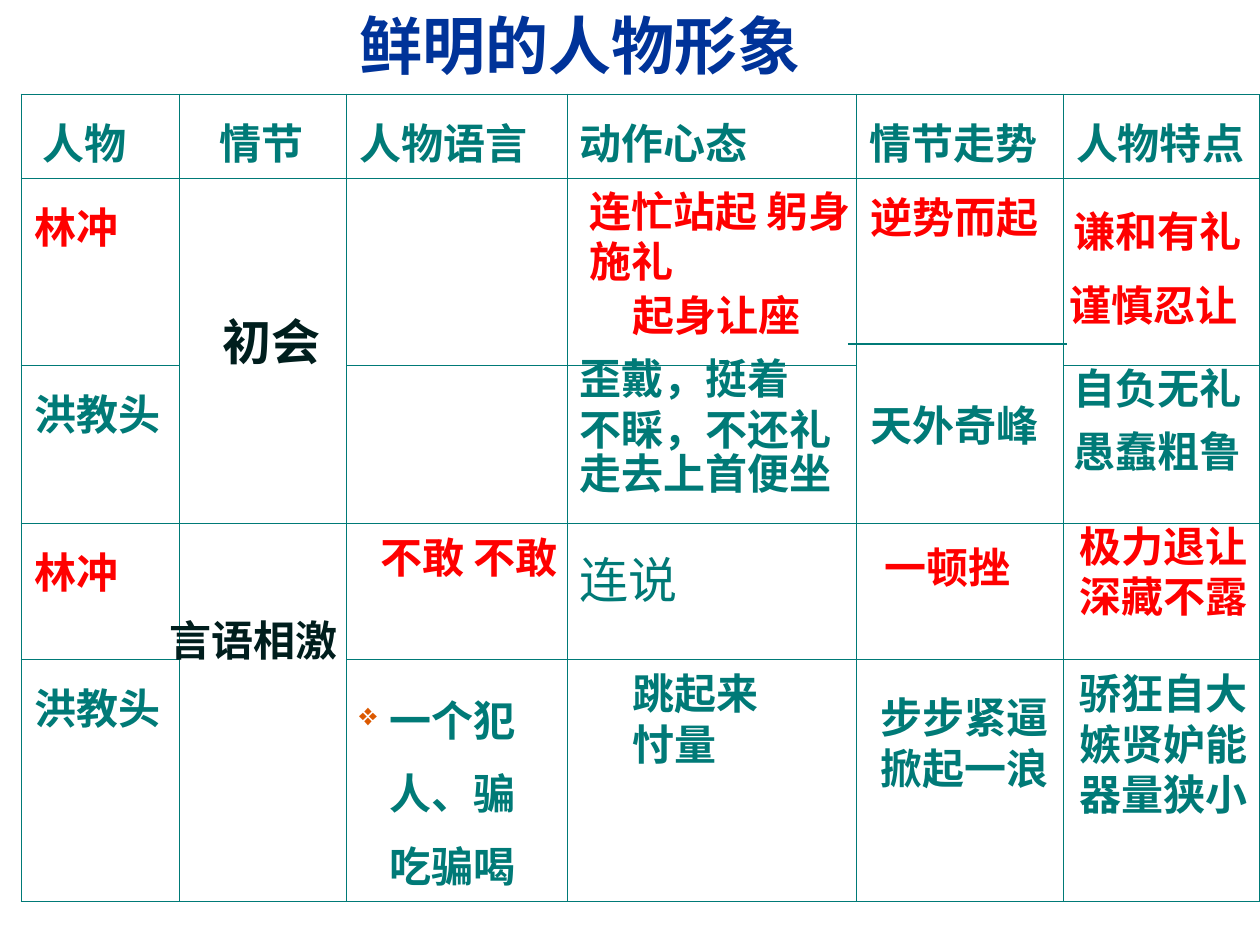
import pptx
import pptx.dml.color
import pptx.enum.dml
import pptx.enum.text
import pptx.oxml
import pptx.oxml.ns
import pptx.util
from pptx.util import Inches

TEAL, RED, NAVY, DARK, ORANGE = "007A77", "FF0000", "003399", "001E1D", "DC5900"
SERIF, SANS = "Times New Roman", "Arial"

COLUMN_WIDTHS = [1.25, 1.33, 1.75, 2.3, 1.64, 1.56]
ROW_HEIGHTS = [0.59, 1.49, 1.25, 1.08, 1.91]
MERGES = [((1, 1), (2, 1)), ((1, 4), (2, 4)), ((3, 1), (4, 1))]
HEADERS = ["人物", "情节", "人物语言", "动作心态", "情节走势", "人物特点"]
HEADER_MARGINS = [0.17, 0.32, 0.1, 0.1, 0.1, 0.1]
PEOPLE = [("林冲", RED), ("洪教头", TEAL)] * 2

# left, top, width, height, lines, colour, wrap
NOTES = [
    (4.58, 1.42, 2.33, 0.9, ["连忙站起 躬身施礼"], RED, True),
    (4.92, 2.25, 1.83, 0.5, ["起身让座"], RED, True),
    (4.5, 2.75, 2.48, 0.9, ["歪戴，挺着", "不睬，不还礼"], TEAL, True),
    (4.5, 3.5, 2.56, 0.5, ["走去上首便坐"], TEAL, True),
    (8.42, 1.58, 1.79, 0.5, ["谦和有礼"], RED, True),
    (8.39, 2.17, 1.61, 0.5, ["谨慎忍让"], RED, True),
    (8.42, 2.83, 1.75, 0.5, ["自负无礼"], TEAL, True),
    (8.42, 3.33, 1.53, 0.5, ["愚蠢粗鲁"], TEAL, False),
    (1.25, 4.83, 1.83, 0.5, ["言语相激"], DARK, True),
    (6.81, 1.47, 1.69, 0.5, ["逆势而起"], RED, True),
    (2.92, 4.17, 1.79, 0.5, ["不敢 不敢"], RED, True),
    (8.47, 4.08, 1.53, 0.9, ["极力退让", "深藏不露"], RED, False),
    (4.92, 5.25, 1.2, 0.9, ["跳起来", "忖量"], TEAL, False),
    (8.47, 5.25, 1.81, 1.3, ["骄狂自大", "嫉贤妒能", "器量狭小"], TEAL, True),
    (6.92, 4.25, 1.39, 0.5, ["一顿挫"], RED, True),
    (6.89, 5.44, 1.73, 1.3, ["步步紧逼", "掀起一浪"], TEAL, True),
    (6.81, 3.12, 1.69, 0.5, ["天外奇峰"], TEAL, True),
]


def rgb(colour):
    return pptx.dml.color.RGBColor.from_string(colour)


def add_xml(parent, markup):
    namespace = pptx.oxml.ns.nsdecls("a")
    tag, rest = markup.split(" ", 1)
    parent.append(pptx.oxml.parse_xml(f"{tag} {namespace} {rest}"))


def format_font(font, colour, **values):
    for name, value in values.items():
        setattr(font, name, value)
    font.color.rgb = rgb(colour)


def write_lines(frame, lines, colour, size=24, name=SERIF, bold=True):
    for index, line in enumerate(lines):
        para = frame.paragraphs[0] if index == 0 else frame.add_paragraph()
        span = para.add_run()
        span.text = line
        format_font(span.font, colour, size=pptx.util.Pt(size), name=name, bold=bold)


def add_title(page):
    title = page.shapes.title
    place = {"left": 2.75, "top": 0, "width": 10, "height": 0.7}
    for name, value in place.items():
        setattr(title, name, Inches(value))
    frame = title.text_frame
    frame.vertical_anchor = pptx.enum.text.MSO_ANCHOR.TOP
    frame.auto_size = pptx.enum.text.MSO_AUTO_SIZE.NONE
    write_lines(frame, ["鲜明的人物形象"], NAVY, 36, SANS)
    frame.paragraphs[0].alignment = pptx.enum.text.PP_ALIGN.LEFT


def add_note(page, left, top, width, height, lines, colour, wrap=True, size=24):
    box = page.shapes.add_textbox(*map(Inches, (left, top, width, height)))
    box.text_frame.word_wrap = wrap
    box.text_frame.auto_size = pptx.enum.text.MSO_AUTO_SIZE.SHAPE_TO_FIT_TEXT
    write_lines(box.text_frame, lines, colour, size)


def format_cell(cell, outer_sides):
    """Clear the fill and draw the rules, thicker on the outer sides."""
    properties = cell._tc.get_or_add_tcPr()
    for side in "LRTB":
        width = pptx.util.Pt(1.08 if side in outer_sides else 0.45)
        add_xml(properties, f'<a:ln{side} w="{width}"><a:solidFill>'
                            f'<a:srgbClr val="{TEAL}"/></a:solidFill></a:ln{side}>')
    cell.fill.background()


def write_cell(cell, text, colour, left=0.1, top=0.13, **style):
    cell.margin_left, cell.margin_top = Inches(left), Inches(top)
    write_lines(cell.text_frame, [text], colour, **style)


def add_bullet(para):
    properties = para._p.get_or_add_pPr()
    indent = Inches(0.24)
    properties.set("marL", str(indent))
    properties.set("indent", str(-indent))
    para.line_spacing = 1.2
    add_xml(properties, f'<a:buClr ><a:srgbClr val="{ORANGE}"/></a:buClr>')
    add_xml(properties, '<a:buSzPct val="75000"/>')
    add_xml(properties, '<a:buChar char="❖"/>')


def add_character_table(page):
    rows, columns = len(ROW_HEIGHTS), len(COLUMN_WIDTHS)
    frame = page.shapes.add_table(rows, columns, Inches(0.17), Inches(0.75),
                                  Inches(sum(COLUMN_WIDTHS)), Inches(sum(ROW_HEIGHTS)))
    table = frame.table
    table.first_row = table.horz_banding = False
    for column, width in zip(table.columns, COLUMN_WIDTHS):
        column.width = Inches(width)
    for row, height in zip(table.rows, ROW_HEIGHTS):
        row.height = Inches(height)
    for row in range(rows):
        for column in range(columns):
            edges = {"L": column == 0, "R": column == columns - 1,
                     "T": row == 0, "B": row == rows - 1}
            format_cell(table.cell(row, column), [side for side in edges if edges[side]])
    for first, last in MERGES:
        table.cell(*first).merge(table.cell(*last))

    for column, (header, margin) in enumerate(zip(HEADERS, HEADER_MARGINS)):
        write_cell(table.cell(0, column), header, TEAL, left=margin, name=SANS)
    for row, (person, colour) in enumerate(PEOPLE, start=1):
        write_cell(table.cell(row, 0), person, colour, name=SANS)
    write_cell(table.cell(3, 3), "连说", TEAL, top=0.15, size=28, name=SANS, bold=False)
    speech = table.cell(4, 2)
    add_bullet(speech.text_frame.paragraphs[0])
    write_cell(speech, "一个犯人、骗吃骗喝", TEAL)


def add_divider(page):
    line = page.shapes.add_connector(pptx.enum.shapes.MSO_CONNECTOR.STRAIGHT,
                                     *map(Inches, (6.73, 2.73, 8.47, 2.73)))
    line.line.color.rgb = rgb(TEAL)
    line.line.width = pptx.util.Pt(0.75)
    add_xml(line._element.spPr, "<a:effectLst />")


def main():
    deck = pptx.Presentation()
    deck.slide_width, deck.slide_height = Inches(10), Inches(7.5)
    page = deck.slides.add_slide(deck.slide_layouts[5])
    add_title(page)
    add_character_table(page)
    for note in NOTES:
        add_note(page, *note)
    add_note(page, 1.67, 2.42, 1.33, 0.57, ["初会"], DARK, size=28)
    add_divider(page)
    deck.save("out.pptx")


if __name__ == "__main__":
    main()
